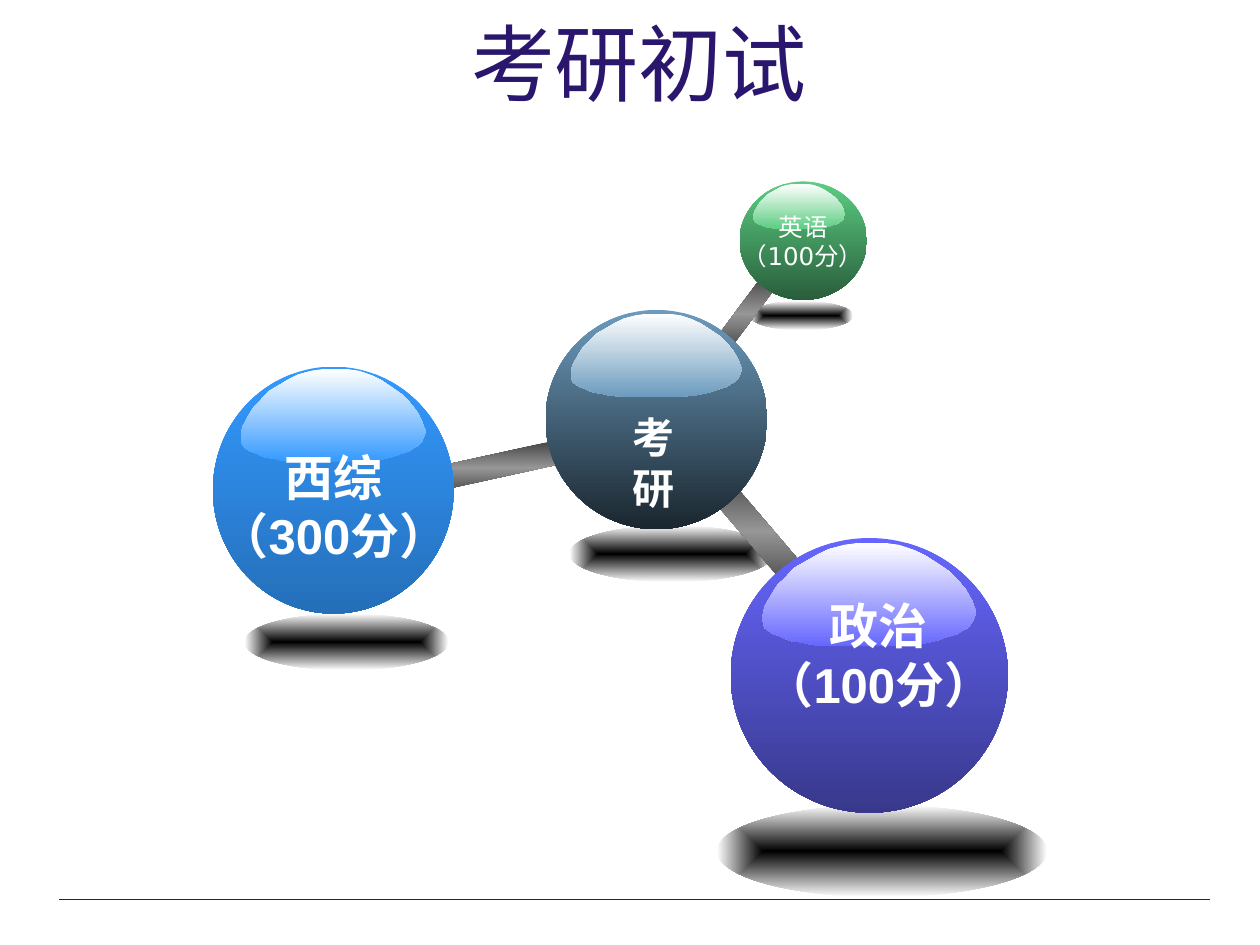
import pptx
import pptx.util
import pptx.dml.color
import pptx.enum.shapes
import pptx.enum.text
import pptx.oxml.ns
import lxml.etree

Inches = pptx.util.Inches
SHAPE = pptx.enum.shapes.MSO_SHAPE
qn = pptx.oxml.ns.qn
C = {
    "navy": "2B166E", "white": "FFFFFF", "black": "000000",
    "rod_dark": "454545", "rod_light": "969696",
    "slate": "6C9BBE", "slate_dark": "1A262E",
    "green": "5BCD81", "green_dark": "295D3B",
    "blue": "3399FF", "blue_dark": "256FB9",
    "violet": "6666FF", "violet_dark": "38388B",
}

prs = pptx.Presentation()
prs.slide_width, prs.slide_height = Inches(10), Inches(7.5)
s = prs.slides.add_slide(prs.slide_layouts[6])


def gradient(sp, colors, angle=90, radial=False):
    sp.shadow.inherit = False
    sp.line.fill.background()
    sp.fill.gradient()
    grad = sp._element.spPr.find(qn("a:gradFill"))
    for child in list(grad):
        grad.remove(child)
    stops = lxml.etree.SubElement(grad, qn("a:gsLst"))
    for i, color in enumerate(colors):
        gs = lxml.etree.SubElement(stops, qn("a:gs"), pos=str(100000 * i // (len(colors) - 1)))
        lxml.etree.SubElement(gs, qn("a:srgbClr"), val=C[color])
    if radial:
        shade = lxml.etree.SubElement(grad, qn("a:path"), {"path": "rect"})
        lxml.etree.SubElement(shade, qn("a:fillToRect"), {side: "50000" for side in "ltrb"})
    else:
        lxml.etree.SubElement(grad, qn("a:lin"), ang=str(round(angle * 60000)), scaled="0")


def add_text(text, box, size, font="Arial", color="white", bold=False, wrap=False, align="CENTER"):
    tf = s.shapes.add_textbox(*map(Inches, box)).text_frame
    tf.word_wrap = wrap
    tf.auto_size = pptx.enum.text.MSO_AUTO_SIZE.SHAPE_TO_FIT_TEXT
    for i, line in enumerate(text.split("\n")):
        p = tf.add_paragraph() if i else tf.paragraphs[0]
        p.alignment = pptx.enum.text.PP_ALIGN[align]
        r = p.add_run()
        r.text = line
        r.font.name, r.font.size, r.font.bold = font, pptx.util.Pt(size), bold
        r.font.color.rgb = pptx.dml.color.RGBColor.from_string(C[color])


rule = s.shapes.add_connector(
    pptx.enum.shapes.MSO_CONNECTOR.STRAIGHT, Inches(0.47), Inches(7.14), Inches(9.6), Inches(7.14))
rule.line.color.rgb = pptx.dml.color.RGBColor.from_string(C["navy"])
rule.line.width = pptx.util.Pt(0.75)
lxml.etree.SubElement(rule._element.spPr, qn("a:effectLst"))

shadows = [(5.95, 2.39, 0.82, 0.23), (4.52, 4.17, 1.62, 0.45),
           (5.69, 6.39, 2.62, 0.73), (1.94, 4.87, 1.62, 0.45)]
for box in shadows:
    sp = s.shapes.add_shape(SHAPE.OVAL, *map(Inches, box))
    gradient(sp, ["black", "white"], radial=True)

rods = [((5.48, 4.11, 1.05, 0.21), 229.5), ((3.31, 3.62, 1.1, 0.19), 347.6),
        ((5.59, 2.42, 0.65, 0.14), 306.6)]
for box, rotation in rods:
    sp = s.shapes.add_shape(SHAPE.RECTANGLE, *map(Inches, box))
    sp.rotation = rotation
    gradient(sp, ["rod_dark", "rod_light", "rod_dark"], angle=450 - rotation)

gloss = [
    (98, 56), (99, 62), (100, 67), (99, 72), (98, 77), (96, 82), (94, 84), (91, 88),
    (86, 91), (82, 94), (78, 96), (73, 98), (68, 99), (60, 100), (36, 100), (26, 99),
    (22, 98), (18, 96), (14, 95), (11, 93), (8, 90), (5, 88), (3, 85), (1, 82),
    (0, 73), (1, 62), (4, 51), (7, 41), (11, 33), (15, 24), (21, 17), (26, 11),
    (31, 6), (38, 2), (44, 0), (51, 0), (58, 0), (64, 2), (71, 7), (76, 12),
    (82, 20), (87, 27), (91, 35), (95, 45),
]
balls = [
    ("slate", (4.33, 2.46, 1.76, 1.74), (4.53, 2.49, 1.36, 0.66),
     "考研", (4.76, 3.22, 0.86, 0.5), dict(size=24, bold=True)),
    ("green", (5.87, 1.44, 1.01, 0.94), (5.98, 1.46, 0.73, 0.36),
     "英语\n（100分）", (5.77, 1.63, 1.21, 0.57), dict(size=14, font="DejaVu Sans", wrap=True)),
    ("blue", (1.69, 2.91, 1.91, 1.96), (1.91, 2.93, 1.47, 0.74),
     "西综\n（300分）", (1.55, 3.5, 2.2, 1.04), dict(size=28, bold=True)),
    ("violet", (5.8, 4.27, 2.2, 2.18), (6.05, 4.31, 1.7, 0.82),
     "政治\n（100分）", (5.95, 4.68, 2.05, 1.5), dict(size=28, bold=True, wrap=True)),
]
for color, ball, (x, y, w, h), text, box, style in balls:
    sp = s.shapes.add_shape(SHAPE.OVAL, *map(Inches, ball))
    gradient(sp, [color, color + "_dark"])
    points = [(Inches(x + w * px / 100), Inches(y + h * py / 100)) for px, py in gloss]
    outline = s.shapes.build_freeform(*points[0])
    outline.add_line_segments(points[1:], close=True)
    gradient(outline.convert_to_shape(), ["white", color])
    add_text(text, box, **style)

add_text("考研初试", (3.64, 0.04, 3.1, 0.9), 48, color="navy", wrap=True, align="LEFT")

prs.save("out.pptx")
